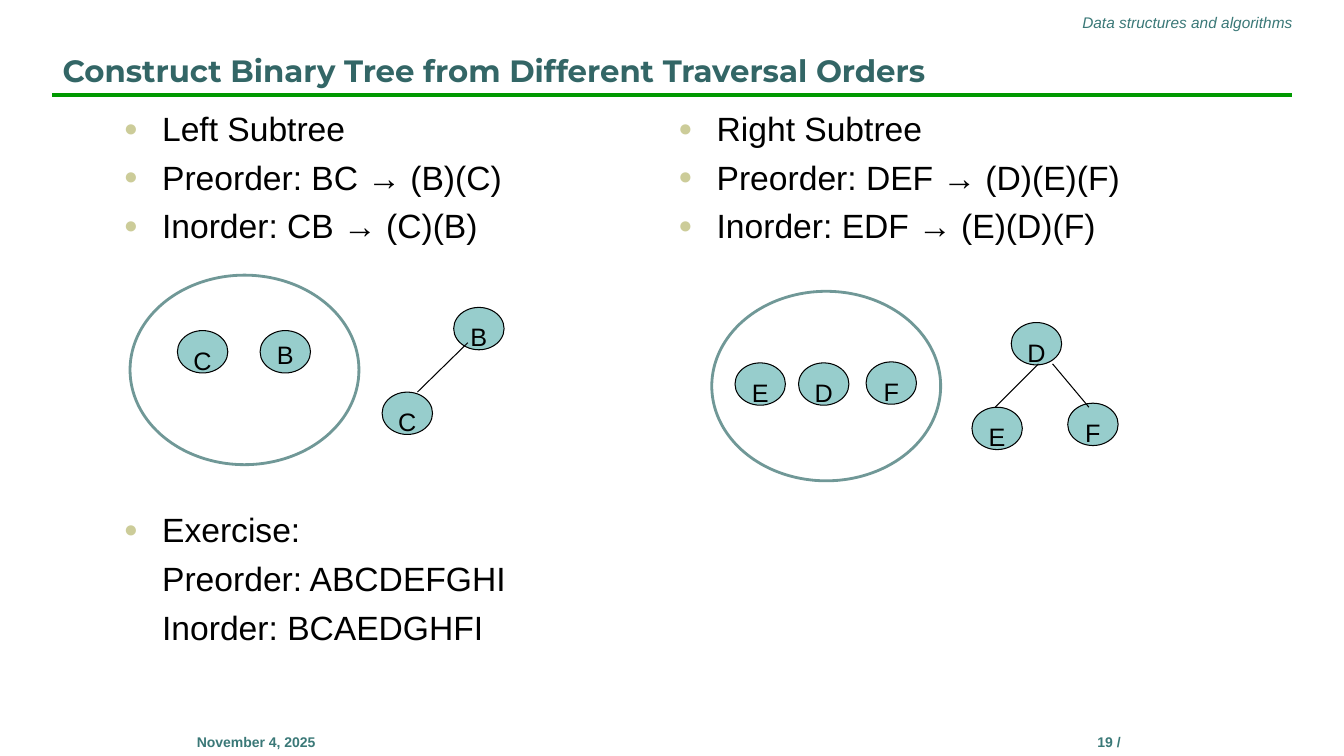
from lxml import etree
from pptx import Presentation
from pptx.dml.color import RGBColor
from pptx.enum.shapes import MSO_CONNECTOR, MSO_SHAPE
from pptx.enum.text import MSO_ANCHOR, PP_ALIGN
from pptx.oxml.ns import qn
from pptx.util import Inches, Pt

TEAL = "3A7877"
BLACK = "000000"
NODE_W, NODE_H = 0.5, 0.42


def rgb(value):
    return RGBColor.from_string(value)


def set_font(p, size, color, name="Arial", bold=False, italic=False):
    p.font.size, p.font.name = Pt(size), name
    p.font.bold, p.font.italic = bold, italic
    p.font.color.rgb = rgb(color)


def add_line(slide, x1, y1, x2, y2, color, width):
    line = slide.shapes.add_connector(
        MSO_CONNECTOR.STRAIGHT, Inches(x1), Inches(y1), Inches(x2), Inches(y2))
    line.line.color.rgb = rgb(color)
    line.line.width = Pt(width)
    etree.SubElement(line._element.spPr, qn("a:effectLst"))


def add_oval(slide, x, y, w, h, line, width, fill=None):
    sp = slide.shapes.add_shape(
        MSO_SHAPE.OVAL, Inches(x), Inches(y), Inches(w), Inches(h))
    sp.shadow.inherit = False
    sp.line.color.rgb = rgb(line)
    sp.line.width = Pt(width)
    if fill:
        sp.fill.solid()
        sp.fill.fore_color.rgb = rgb(fill)
    else:
        sp.fill.background()
    return sp


def add_text(slide, x, y, w, h):
    tf = slide.shapes.add_textbox(
        Inches(x), Inches(y), Inches(w), Inches(h)).text_frame
    tf.word_wrap = True
    return tf


def add_title(slide, x, y, w, h, text):
    title = slide.shapes.title
    title.left, title.top, title.width, title.height = map(Inches, (x, y, w, h))
    tf = title.text_frame
    tf.text = text
    tf.vertical_anchor = MSO_ANCHOR.BOTTOM
    p = tf.paragraphs[0]
    p.alignment = PP_ALIGN.LEFT
    set_font(p, 22, "336666", "Montserrat", bold=True)
    add_line(slide, x, y + 0.71, x + w, y + 0.71, "009900", 3)


def add_caption(slide, x, y, w, h, text, align, size, **style):
    p = add_text(slide, x, y, w, h).paragraphs[0]
    p.text = text
    p.alignment = align
    set_font(p, size, TEAL, **style)


def add_bullets(slide, x, y, w, h, lines, bulleted=3):
    """Lines after the first `bulleted` ones are indented without a bullet."""
    tf = add_text(slide, x, y, w, h)
    for i, text in enumerate(lines):
        p = tf.paragraphs[0] if i == 0 else tf.add_paragraph()
        p.text = text
        p.space_before = Pt(6)
        set_font(p, 24, BLACK)
        pPr = p._p.get_or_add_pPr()
        pPr.set("marL", str(Inches(0.38)))
        if i >= bulleted:
            pPr.set("indent", "0")
            continue
        pPr.set("indent", str(-Inches(0.38)))
        bullet = [etree.Element(qn(f"a:{tag}")) for tag in ("buClr", "buSzPct", "buFont", "buChar")]
        etree.SubElement(bullet[0], qn("a:srgbClr"), val="CCCC99")
        bullet[1].set("val", "70000")
        bullet[2].set("typeface", "Arial")
        bullet[3].set("char", "●")
        for offset, element in enumerate(bullet):
            pPr.insert(1 + offset, element)


def add_node(slide, x, y, letter, inset=0.08):
    sp = add_oval(slide, x, y, NODE_W, NODE_H, BLACK, 0.75, "97CDCC")
    tf = sp.text_frame
    tf.word_wrap = False
    tf.vertical_anchor = MSO_ANCHOR.TOP
    tf.margin_left = tf.margin_right = tf.margin_bottom = 0
    tf.margin_top = Inches(inset)
    p = tf.paragraphs[0]
    p.text = letter
    p.alignment = PP_ALIGN.CENTER
    set_font(p, 18, BLACK)


def add_inorder_set(slide, x, y, nodes):
    add_oval(slide, x, y, 2.27, 1.88, "709897", 2)
    for dx, dy, *label in nodes:
        add_node(slide, x + dx, y + dy, *label)


def add_tree(slide, x, y, nodes, edges):
    for dx, dy, letter in nodes:
        add_node(slide, x + dx, y + dy, letter)
    for x1, y1, x2, y2 in edges:
        add_line(slide, x + x1, y + y1, x + x2, y + y2, BLACK, 0.75)


def main():
    prs = Presentation()
    prs.slide_width, prs.slide_height = Inches(13.33), Inches(7.5)
    slide = prs.slides.add_slide(prs.slide_layouts[5])

    # Header and footer
    add_title(slide, 0.52, 0.23, 12.29, 0.7,
              "Construct Binary Tree from Different Traversal Orders")
    add_caption(slide, 5.63, 0.08, 7.29, 0.29, "Data structures and algorithms",
                PP_ALIGN.RIGHT, 11, italic=True)
    for x, text in ((1.04, "November 4, 2025"), (9.5, "19 /")):
        add_caption(slide, x, 7.23, 3, 0.5, text, PP_ALIGN.CENTER, 10, bold=True)

    # Left subtree
    add_bullets(slide, 1.13, 1.02, 4.53, 1.6,
                ["Left Subtree", "Preorder: BC → (B)(C)", "Inorder: CB → (C)(B)"])
    add_inorder_set(slide, 1.29, 2.73, [(0.47, 0.55, "C"), (1.29, 0.55, "B", 0.02)])
    add_tree(slide, 3.79, 3.05, [(0.71, 0, "B"), (0, 0.84, "C")],
             [(0.85, 0.35, 0.35, 0.84)])

    # Right subtree
    add_bullets(slide, 6.63, 1.02, 4.84, 1.6,
                ["Right Subtree", "Preorder: DEF → (D)(E)(F)", "Inorder: EDF → (E)(D)(F)"])
    add_inorder_set(slide, 7.06, 2.89,
                    [(0.23, 0.71, "E"), (0.86, 0.71, "D"), (1.53, 0.7, "F")])
    add_tree(slide, 9.64, 3.2, [(0.39, 0, "D"), (0, 0.84, "E"), (0.95, 0.8, "F")],
             [(0.66, 0.41, 0.23, 0.84), (0.8, 0.41, 1.16, 0.84)])

    # Exercise
    add_bullets(slide, 1.13, 5, 9.22, 2.11,
                ["Exercise:", "Preorder: ABCDEFGHI", "Inorder: BCAEDGHFI"], bulleted=1)

    prs.save("out.pptx")


if __name__ == "__main__":
    main()
